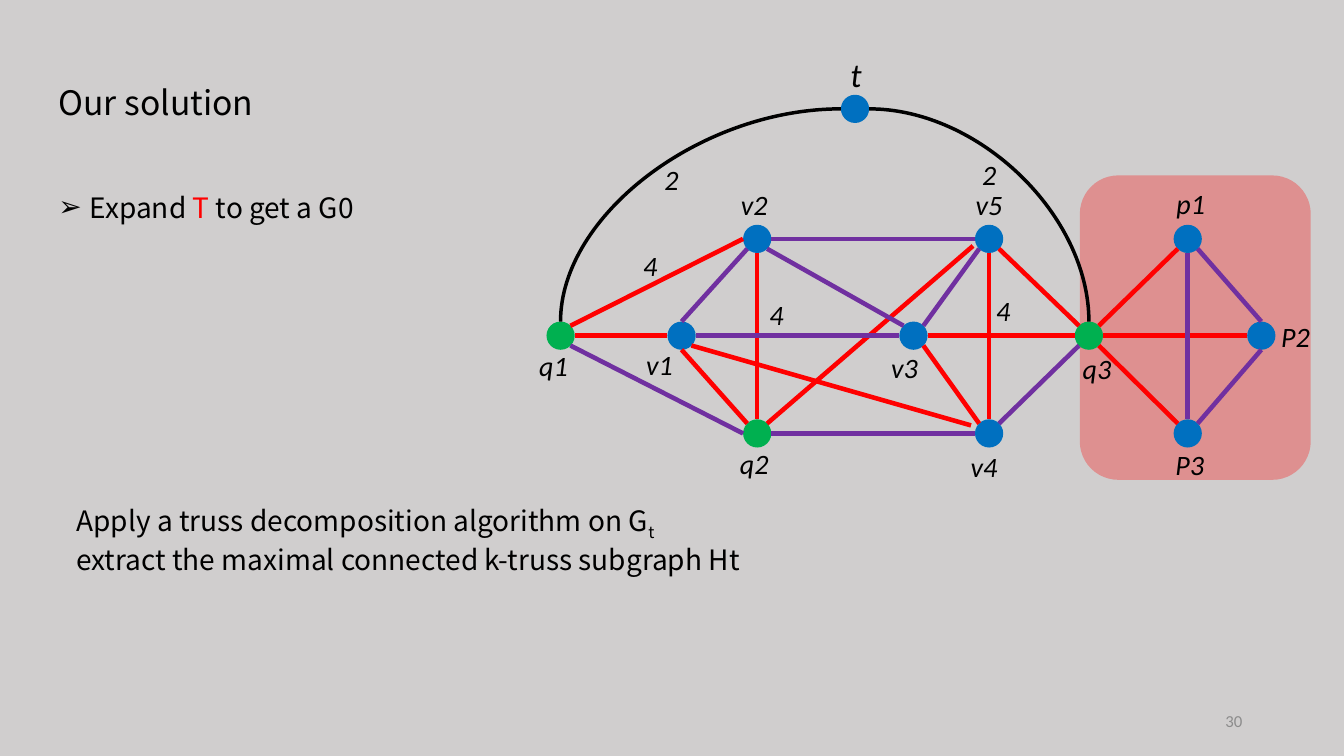
from lxml.etree import SubElement
from pptx import Presentation
from pptx.dml.color import RGBColor
from pptx.enum.shapes import MSO_CONNECTOR, MSO_SHAPE
from pptx.enum.text import MSO_ANCHOR, MSO_AUTO_SIZE, PP_ALIGN
from pptx.oxml.ns import qn
from pptx.util import Inches, Pt

SANS = "Noto Sans CJK SC"
BLACK, RED, PURPLE, GREEN, BLUE = "000000", "FF0000", "7030A0", "00B050", "0070C0"
RADIUS = 0.14
COLS = [0, 1.2, 1.95, 2.92, 3.5, 4.25, 5.24, 6.22, 6.95]
ROWS = [0, 1.29, 2.25, 3.22]
NODES = {
    "q1": (0, 2, GREEN, -0.07, 0.3),
    "q2": (2, 3, GREEN, -0.03, 0.3),
    "v4": (5, 3, BLUE, -0.05, 0.33),
    "v1": (1, 2, BLUE, -0.22, 0.29),
    "v3": (4, 2, BLUE, -0.09, 0.32),
    "q3": (6, 2, GREEN, 0.08, 0.33),
    "v5": (5, 1, BLUE, 0, -0.34),
    "v2": (2, 1, BLUE, -0.03, -0.34),
    "t": (3, 0, BLUE, 0.01, -0.34),
    "p1": (7, 1, BLUE, 0.03, -0.35),
    "P2": (8, 2, BLUE, 0.34, 0.01),
    "P3": (7, 3, BLUE, 0.02, 0.31),
}
SITES = {
    "N": (0, -1), "S": (0, 1), "W": (-1, 0), "E": (1, 0),
    "NW": (-0.7, -0.7), "NE": (0.7, -0.7), "SW": (-0.7, 0.7), "SE": (0.7, 0.7),
    "WNW": (-1.28, -0.57), "WSW": (-1.14, 0.5),
}
ARCS = ["t W q1 N", "t E q3 N"]
OUTER_EDGES = ["q1 SE q2 W", "q2 E v4 W", "v4 NE q3 SW"]
RED_EDGES = [
    "q1 NE v2 W", "q1 E v1 W", "v1 S q2 NW", "v2 S q2 N", "v5 WSW q2 NE",
    "v1 SE v4 WNW", "v3 SE v4 NW", "v5 S v4 N", "v3 E q3 W", "v5 SE q3 NW",
    "p1 SW q3 NE", "P2 W q3 E", "P3 NW q3 SE",
]
INNER_EDGES = [
    "v2 SW v1 N", "v3 W v1 E", "v3 NW v2 SE", "v5 W v2 E", "v3 NE v5 SW",
    "P2 S P3 NE", "p1 S P3 N", "p1 SE P2 N",
]
WEIGHTS = [("2", 1.1, 0.7), ("2", 4.25, 0.65), ("4", 0.89, 1.56),
           ("4", 2.14, 2.04), ("4", 4.39, 2)]


def color(value):
    return RGBColor.from_string(value)


def place(sp, box):
    sp.left, sp.top, sp.width, sp.height = map(Inches, box)


def style(r, size, font=SANS, fill=BLACK, italic=None):
    r.font.size, r.font.name, r.font.italic = Pt(size), font, italic
    r.font.color.rgb = color(fill)


def add_text(s, box, text, size, font=SANS, fill=BLACK, italic=None,
             align=PP_ALIGN.LEFT, wrap=True):
    sp = s.shapes.add_textbox(*map(Inches, box))
    tf = sp.text_frame
    tf.word_wrap = wrap
    tf.text = text
    for p in tf.paragraphs:
        p.alignment = align
        for r in p.runs:
            style(r, size, font, fill, italic)
    return sp


def add_solid(s, kind, box, fill):
    sp = s.shapes.add_shape(kind, *map(Inches, box))
    sp.shadow.inherit = False
    sp.fill.solid()
    sp.fill.fore_color.rgb = color(fill)
    sp.line.fill.background()


def add_label(s, text, x, y, size=20):
    height = 0.5 if size > 20 else 0.44
    add_text(s, (x - 0.29, y - height / 2, 0.58, height), text, size,
             "Calibri", italic=True, align=PP_ALIGN.CENTER)


def add_edge(s, centers, edge, fill, width, kind=MSO_CONNECTOR.STRAIGHT):
    a, a_site, b, b_site = edge.split()
    ends = [center + RADIUS * shift
            for node, site in ((a, a_site), (b, b_site))
            for center, shift in zip(centers[node], SITES[site])]
    line = s.shapes.add_connector(kind, *map(Inches, ends))
    line.line.color.rgb = color(fill)
    line.line.width = Pt(width)
    props = line._element.spPr
    SubElement(props, qn("a:effectLst"))
    if kind == MSO_CONNECTOR.CURVE:
        props.find(qn("a:prstGeom")).set("prst", "curvedConnector2")


def add_graph(s, left, top):
    add_solid(s, MSO_SHAPE.ROUNDED_RECTANGLE, (left + 5.15, top + 0.66, 2.29, 3.02), "DE9090")
    centers = {}
    for name, (col, row, fill, dx, dy) in NODES.items():
        x, y = left + COLS[col], top + ROWS[row]
        centers[name] = x, y
        add_solid(s, MSO_SHAPE.OVAL, (x - RADIUS, y - RADIUS, 2 * RADIUS, 2 * RADIUS), fill)
        add_label(s, name, x + dx, y + dy, 24 if name == "t" else 20)
    for arc in ARCS:
        add_edge(s, centers, arc, BLACK, 2.5, MSO_CONNECTOR.CURVE)
    for text, dx, dy in WEIGHTS:
        add_label(s, text, left + dx, top + dy)
    for edges, fill in ((OUTER_EDGES, PURPLE), (RED_EDGES, RED), (INNER_EDGES, PURPLE)):
        for edge in edges:
            add_edge(s, centers, edge, fill, 3.25)


def fill_placeholder(sp, box, parts, size):
    place(sp, box)
    tf = sp.text_frame
    tf.word_wrap = False
    tf.auto_size = MSO_AUTO_SIZE.NONE
    tf.vertical_anchor = MSO_ANCHOR.TOP
    p = tf.paragraphs[0]
    p.alignment = PP_ALIGN.LEFT
    p.line_spacing = 1.5
    p.space_before = Pt(0)
    for text, fill in parts:
        r = p.add_run()
        r.text = text
        style(r, size, fill=fill)
    return p


def add_heading(s, left, top):
    fill_placeholder(s.shapes.title, (left, top, 2.21, 0.64), [("Our solution", BLACK)], 24)
    p = fill_placeholder(s.placeholders[1], (left, top + 1.11, 3.32, 0.55),
                         [("Expand ", BLACK), ("T", RED), (" to get a G0", BLACK)], 20)
    props = p._p.get_or_add_pPr()
    props.set("marL", str(Inches(0.31)))
    props.set("indent", str(Inches(-0.31)))
    SubElement(props, qn("a:buChar")).set("char", "➢")


def add_steps(s, box):
    sp = add_text(s, box, "Apply a truss decomposition algorithm on G\n"
                  "extract the maximal connected k-truss subgraph Ht", 20, wrap=False)
    r = sp.text_frame.paragraphs[0].add_run()
    r.text = "t"
    style(r, 20)
    r.font._element.set("baseline", "-25000")


def add_page_number(s, box):
    sp = add_text(s, box, "30", 12, "Calibri", "8C8C8C", align=PP_ALIGN.RIGHT)
    sp.text_frame.vertical_anchor = MSO_ANCHOR.MIDDLE


def main():
    prs = Presentation()
    prs.slide_width, prs.slide_height = Inches(13.33), Inches(7.5)
    s = prs.slides.add_slide(prs.slide_layouts[1])
    s.background.fill.solid()
    s.background.fill.fore_color.rgb = color("D0CECE")
    add_heading(s, 0.48, 0.56)
    add_graph(s, 5.56, 1.08)
    add_steps(s, (0.66, 4.95, 7.08, 0.77))
    add_page_number(s, (9.42, 6.95, 3, 0.4))
    prs.save("out.pptx")


if __name__ == "__main__":
    main()
